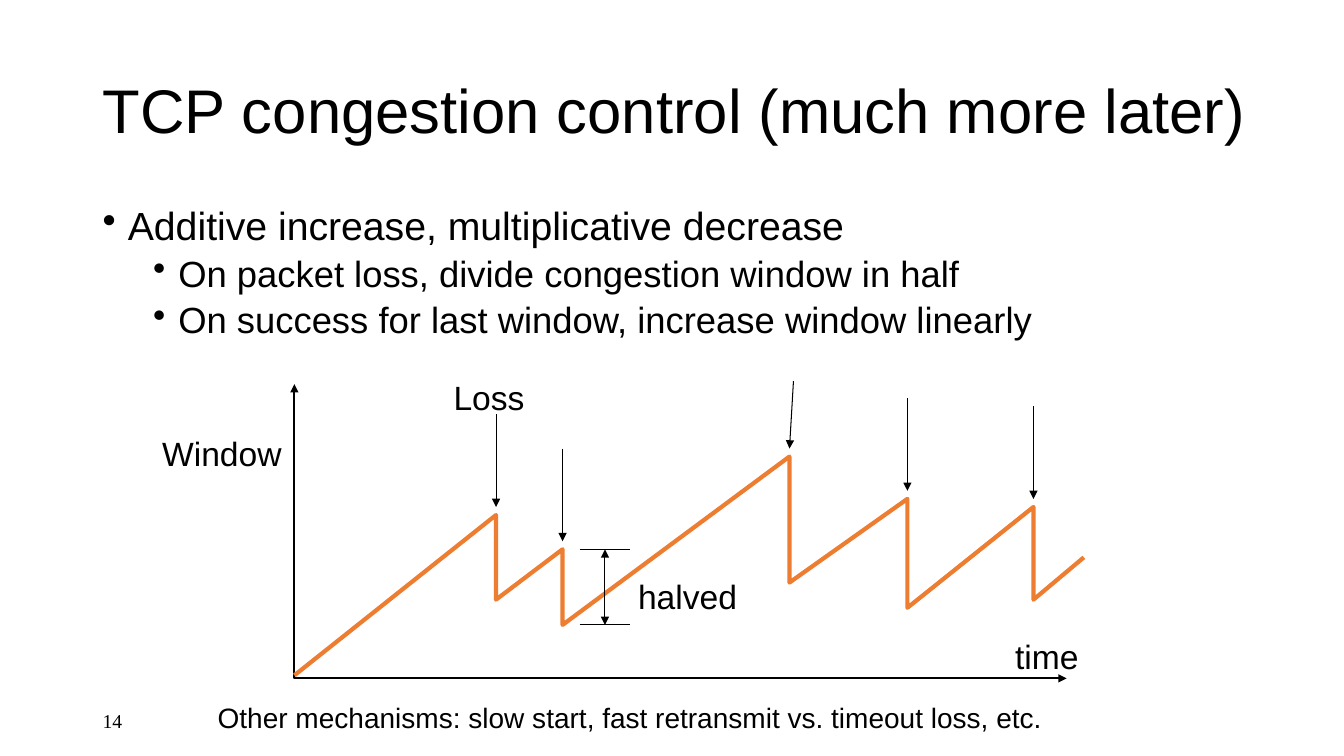
import pptx
import pptx.dml.color
import pptx.enum.shapes
import pptx.enum.text
import pptx.oxml.ns
import pptx.util
from lxml import etree

Inches = pptx.util.Inches
Pt = pptx.util.Pt
BLACK = "000000"
ORANGE = "ED7D31"


def rgb(color):
    """Turn a hex string into a colour."""
    return pptx.dml.color.RGBColor.from_string(color)


def add_run(p, text, size, font="Arial"):
    """Add one black run to a paragraph."""
    r = p.add_run()
    r.text = text
    r.font.size = Pt(size)
    r.font.name = font
    r.font.color.rgb = rgb(BLACK)


def place(sp, left, top, width, height):
    """Set the position and size of a shape."""
    sp.left, sp.top = Inches(left), Inches(top)
    sp.width, sp.height = Inches(width), Inches(height)


def set_title(s, text):
    """Move and format the title placeholder."""
    sp = s.shapes.title
    place(sp, 0.92, 0.4, 11.98, 1.45)
    tf = sp.text_frame
    tf.word_wrap = True
    tf.auto_size = pptx.enum.text.MSO_AUTO_SIZE.NONE
    tf.vertical_anchor = pptx.enum.text.MSO_ANCHOR.MIDDLE
    p = tf.paragraphs[0]
    p.alignment = pptx.enum.text.PP_ALIGN.LEFT
    p.line_spacing = 0.9
    add_run(p, text, 44)


def add_label(s, text, left, top, width, height, size=24, font="Arial", wrap=False):
    """Add a single-line text box."""
    sp = s.shapes.add_textbox(Inches(left), Inches(top), Inches(width), Inches(height))
    tf = sp.text_frame
    tf.word_wrap = wrap
    tf.vertical_anchor = pptx.enum.text.MSO_ANCHOR.MIDDLE
    add_run(tf.paragraphs[0], text, size, font)


def add_bullets(s, items):
    """Add the bulleted text from (level, text) pairs."""
    sp = s.shapes.add_textbox(Inches(0.92), Inches(2), Inches(11.5), Inches(1.6))
    tf = sp.text_frame
    tf.word_wrap = True
    for i, (level, text) in enumerate(items):
        p = tf.add_paragraph() if i else tf.paragraphs[0]
        p.level = level
        pPr = p._p.get_or_add_pPr()
        pPr.set("marL", str(Inches(0.25 + 0.5 * level)))
        pPr.set("indent", str(Inches(-0.25)))
        bu = etree.SubElement(pPr, pptx.oxml.ns.qn("a:buChar"))
        bu.set("char", "•")
        p.line_spacing = 0.9
        if i:
            p.space_before = Pt(5)
        add_run(p, text, 26 if level else 28)


def style_line(sp, color, width, head=False, tail=False):
    """Set line colour, width and triangle arrowheads."""
    sp.line.color.rgb = rgb(color)
    sp.line.width = Pt(width)
    ln = sp.line._get_or_add_ln()
    for tag, wanted in (("a:headEnd", head), ("a:tailEnd", tail)):
        if wanted:
            etree.SubElement(ln, pptx.oxml.ns.qn(tag)).set("type", "triangle")


def add_line(s, start, end, head=False, tail=False):
    """Add a thin straight line between two points."""
    x1, y1, x2, y2 = [Inches(v) for v in start + end]
    sp = s.shapes.add_connector(pptx.enum.shapes.MSO_CONNECTOR.STRAIGHT, x1, y1, x2, y2)
    style_line(sp, BLACK, 0.75, head, tail)
    etree.SubElement(sp._element.spPr, pptx.oxml.ns.qn("a:effectLst"))


def add_polyline(s, points, color, width, arrows=False):
    """Add an open unfilled outline through the points."""
    pts = [(Inches(x), Inches(y)) for x, y in points]
    fb = s.shapes.build_freeform(*pts[0])
    fb.add_line_segments(pts[1:], close=False)
    sp = fb.convert_to_shape()
    sp.shadow.inherit = False
    sp.fill.background()
    style_line(sp, color, width, arrows, arrows)


def add_window_chart(s):
    """Draw the sawtooth of window size over time."""
    add_polyline(s, [(2.92, 3.81), (2.92, 6.73), (10.58, 6.73)], BLACK, 1.5, True)
    drops = [(4.92, 5.11, 5.95), (5.58, 5.45, 6.2), (7.83, 4.53, 5.78),
             (9, 4.95, 6.03), (10.25, 5.03, 5.95)]
    points = [(2.92, 6.7)]
    for x, peak, trough in drops:
        points += [(x, peak), (x, trough)]
    add_polyline(s, points + [(10.75, 5.53)], ORANGE, 3)

    for x, peak, trough in drops:
        start = (7.87, 3.78) if x == 7.83 else (x, peak - 1)
        add_line(s, start, (x, peak - 0.08), tail=True)

    x, peak, trough = drops[1]
    for y in (peak, trough):
        add_line(s, (5.75, y), (6.25, y))
    add_line(s, (6, peak), (6, trough), head=True, tail=True)

    add_label(s, "time", 9.97, 6.26, 1.29, 0.5)
    add_label(s, "Window", 1.51, 4.24, 1.4, 0.5)
    add_label(s, "halved", 6.23, 5.66, 1.2, 0.5)
    add_label(s, "Loss", 4.4, 3.69, 0.91, 0.5)


def main():
    """Build and save the slide."""
    prs = pptx.Presentation()
    prs.slide_width, prs.slide_height = Inches(13.33), Inches(7.5)
    s = prs.slides.add_slide(prs.slide_layouts[5])
    set_title(s, "TCP congestion control (much more later)")
    add_bullets(s, [
        (0, "Additive increase, multiplicative decrease"),
        (1, "On packet loss, divide congestion window in half"),
        (1, "On success for last window, increase window linearly"),
    ])
    add_window_chart(s)
    add_label(s, "Other mechanisms: slow start, fast retransmit vs. timeout loss, etc.",
              2.06, 6.9, 8.51, 0.44, 20)
    add_label(s, "14", 0.92, 6.95, 3, 0.4, 14, "Times New Roman", True)
    prs.save("out.pptx")


if __name__ == "__main__":
    main()
